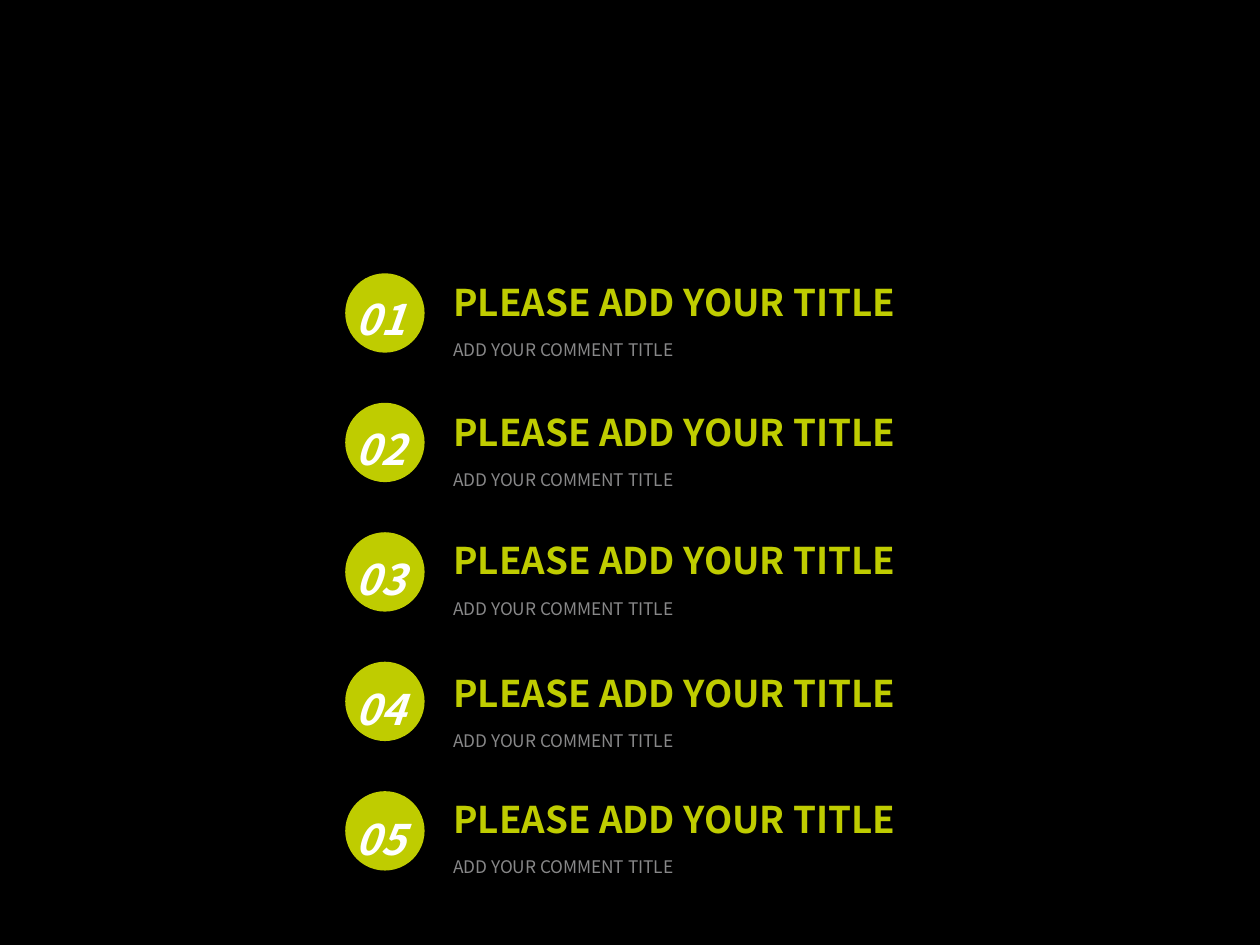
from pptx import Presentation
from pptx.dml.color import RGBColor
from pptx.enum.shapes import MSO_SHAPE as Preset
from pptx.enum.text import MSO_AUTO_SIZE as AutoSize, PP_ALIGN as Align
from pptx.util import Cm, Pt


def colour(value):
    return RGBColor.from_string(value)


class Agenda:
    font = "Noto Sans CJK SC"
    lime = "BFCC00"
    grey = "888889"
    white = "FFFFFF"
    black = "000000"

    def __init__(self, page):
        self.page = page

    def background(self):
        fill = self.page.background.fill
        fill.solid()
        fill.fore_color.rgb = colour(self.black)

    def disc(self, left, top, size):
        disc = self.page.shapes.add_shape(
            Preset.OVAL, Cm(left), Cm(top), Cm(size), Cm(size))
        disc.shadow.inherit = False
        disc.fill.solid()
        disc.fill.fore_color.rgb = colour(self.lime)
        disc.line.fill.background()

    def text(self, shapes, words, place, size, ink, bold=False, italic=False,
             align=Align.LEFT):
        box = shapes.add_textbox(*map(Cm, place))
        frame = box.text_frame
        frame.word_wrap = False
        frame.auto_size = AutoSize.SHAPE_TO_FIT_TEXT
        para = frame.paragraphs[0]
        para.alignment = align
        font = para.font
        font.name = self.font
        font.size = Pt(size)
        font.bold = bold
        font.italic = italic
        font.color.rgb = colour(ink)
        span = para.add_run()
        span.text = words
        return span

    def number(self, words, top):
        self.text(self.page.shapes, words, (6.91, top, 1.52, 1.27), 24,
                  self.white, bold=True, italic=True, align=Align.CENTER)

    def heading(self, title, comment, top):
        group = self.page.shapes.add_group_shape()
        self.text(group.shapes, title, (8.89, top, 9.5, 1.14), 21,
                  self.lime, bold=True)
        span = self.text(group.shapes, comment,
                         (8.89, top + 0.81, 5.97, 0.74), 17, self.grey)
        span.font._element.set("baseline", "-25000")


def main():
    deck = Presentation()
    deck.slide_width = Cm(25.4)
    deck.slide_height = Cm(19.05)
    agenda = Agenda(deck.slides.add_slide(deck.slide_layouts[6]))
    agenda.background()
    heading_tops = [5.51, 8.13, 10.72, 13.39, 15.93]
    for index, heading_top in enumerate(heading_tops):
        agenda.disc(6.96, 5.51 + 2.61 * index, 1.6)
        agenda.number(f"{index + 1:02}", 5.79 + 2.62 * index)
        agenda.heading("PLEASE ADD YOUR TITLE", "ADD YOUR COMMENT TITLE",
                       heading_top)
    deck.save("out.pptx")


if __name__ == "__main__":
    main()
